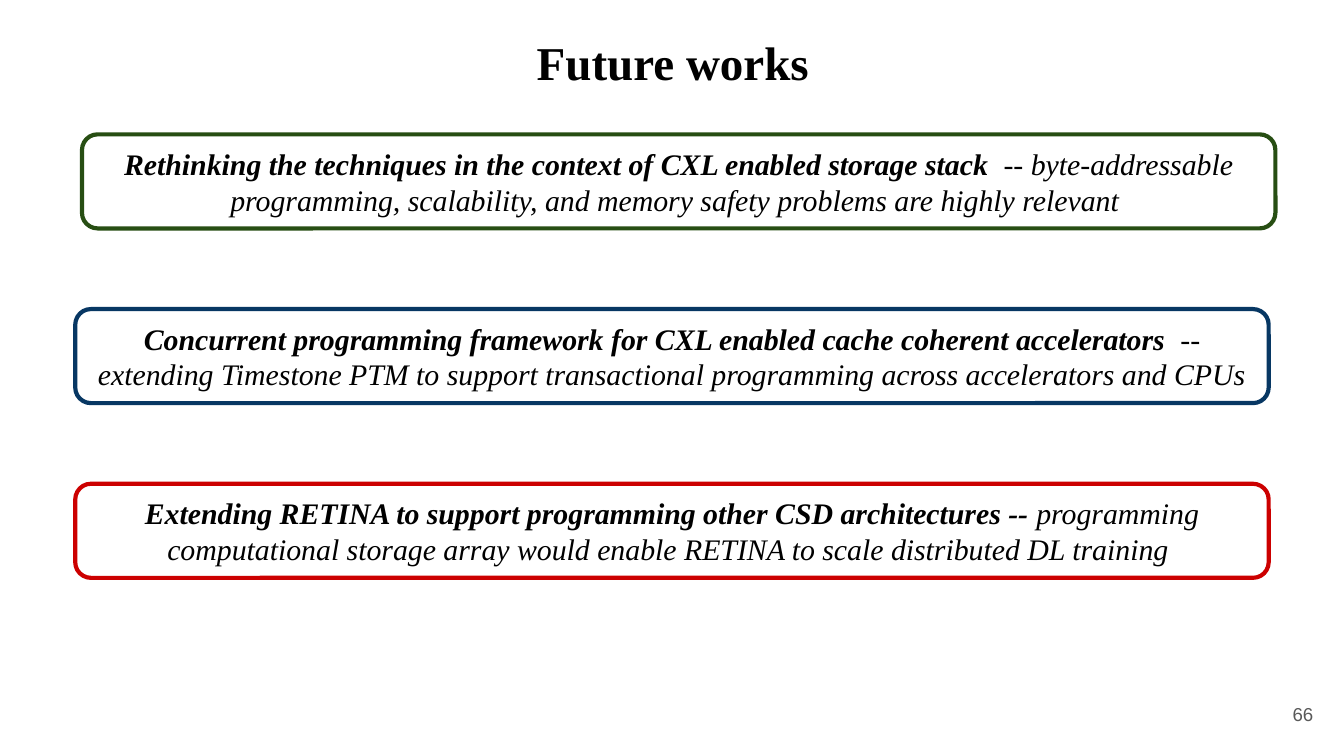
"""Build the "Future works" slide with three outlined research directions."""
from pptx import Presentation
from pptx import util as u
from pptx.dml.color import RGBColor
from pptx.enum import shapes, text

SERIF = "Times New Roman"
TITLE = "Future works "
PAGE = "66"
DIRECTIONS = [
    ("Rethinking the techniques in the context of CXL enabled storage stack ",
     " -- byte-addressable programming, scalability, and memory safety problems are highly relevant ",
     "274E13", 0.61),
    ("Concurrent programming framework for CXL enabled cache coherent accelerators ",
     " -- extending Timestone PTM to support transactional programming across accelerators and CPUs",
     "073763", 0.56),
    ("Extending RETINA to support programming other CSD architectures -- ",
     "programming computational storage array would enable RETINA to scale distributed DL training ",
     "CC0000", 0.56),
]
FIRST_TOP, STEP, WIDTH, HEIGHT = 1, 1.3, 8.88, 0.7


def color(code):
    return RGBColor.from_string(code)


def write(part, runs, align, anchor):
    frame = part.text_frame
    layout = dict(word_wrap=True, vertical_anchor=anchor,
                  **{f"margin_{side}": u.Inches(0.1) for side in ("left", "right", "top", "bottom")})
    for key, value in layout.items():
        setattr(frame, key, value)
    paragraph = frame.paragraphs[0]
    paragraph.alignment = align
    for words, ink, style in runs:
        run = paragraph.add_run()
        run.text = words
        run.font.color.rgb = color(ink)
        for key, value in style.items():
            setattr(run.font, key, value)


def main():
    deck = Presentation()
    deck.slide_width = u.Inches(10)
    deck.slide_height = deck.slide_width * 9 // 16
    slide = deck.slides.add_slide(deck.slide_layouts[6])
    align, anchor = text.PP_ALIGN, text.MSO_ANCHOR

    title = slide.shapes.add_textbox(*map(u.Inches, (0.3, 0.15, 9.5, 0.63)))
    write(title, [(TITLE, "000000", dict(name=SERIF, size=u.Pt(25.2), bold=True))],
          align.CENTER, anchor.TOP)

    page = slide.shapes.add_textbox(*map(u.Inches, (9.27, 5.1, 0.6, 0.43)))
    write(page, [(PAGE, "595959", dict(name="Arial", size=u.Pt(10)))], align.RIGHT, anchor.MIDDLE)

    for row, (topic, detail, outline, left) in enumerate(DIRECTIONS):
        box = slide.shapes.add_shape(
            shapes.MSO_SHAPE.ROUNDED_RECTANGLE,
            *map(u.Inches, (left, FIRST_TOP + row * STEP, WIDTH, HEIGHT)))
        box.shadow.inherit = False
        box.fill.background()
        box.line.color.rgb = color(outline)
        box.line.width = u.Pt(2.25)
        style = dict(name=SERIF, size=u.Pt(16), italic=True)
        write(box, [(topic, "000000", dict(style, bold=True)),
                    (detail, "000000", dict(style, bold=False))],
              align.CENTER, anchor.MIDDLE)

    deck.save("out.pptx")


if __name__ == "__main__":
    main()
